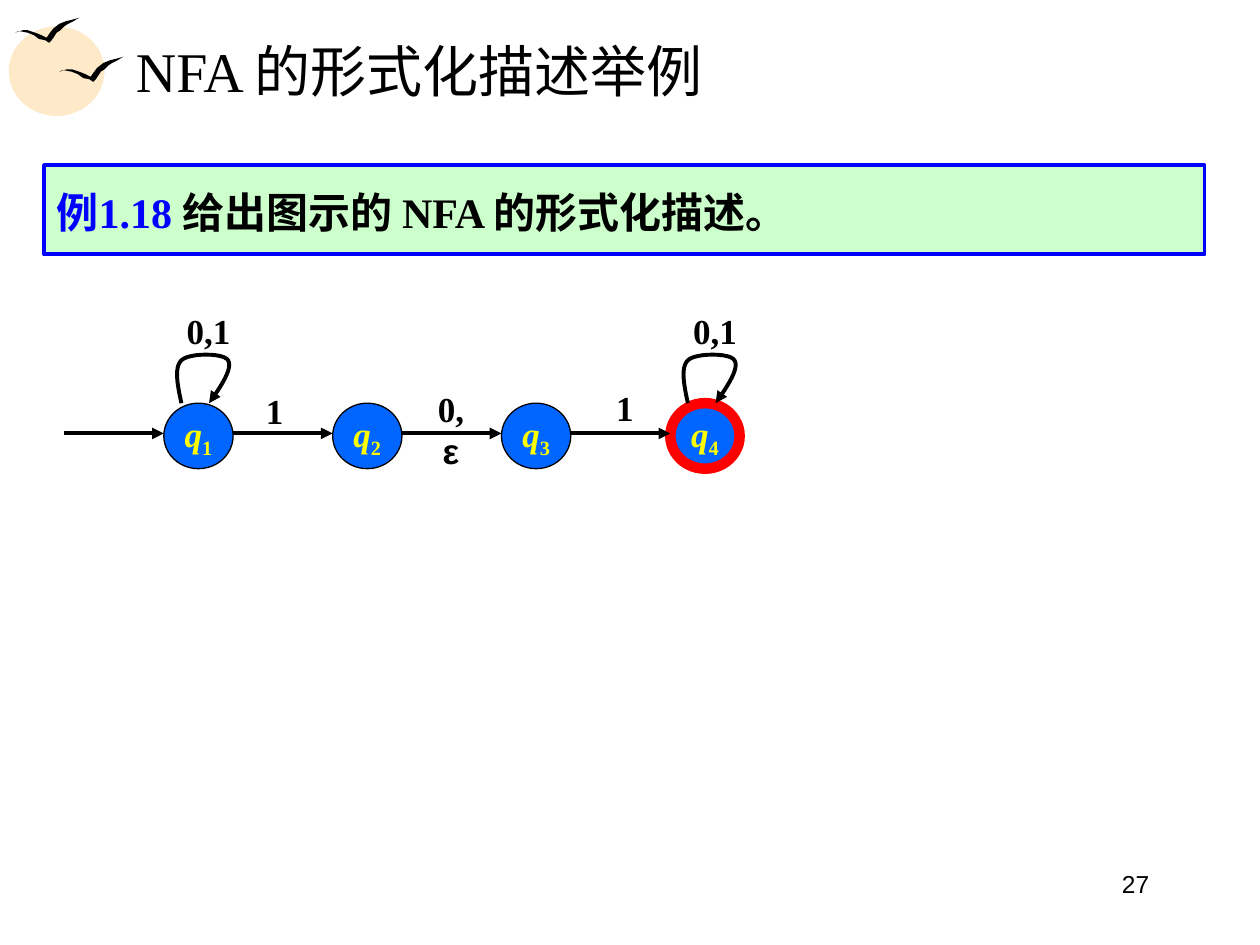
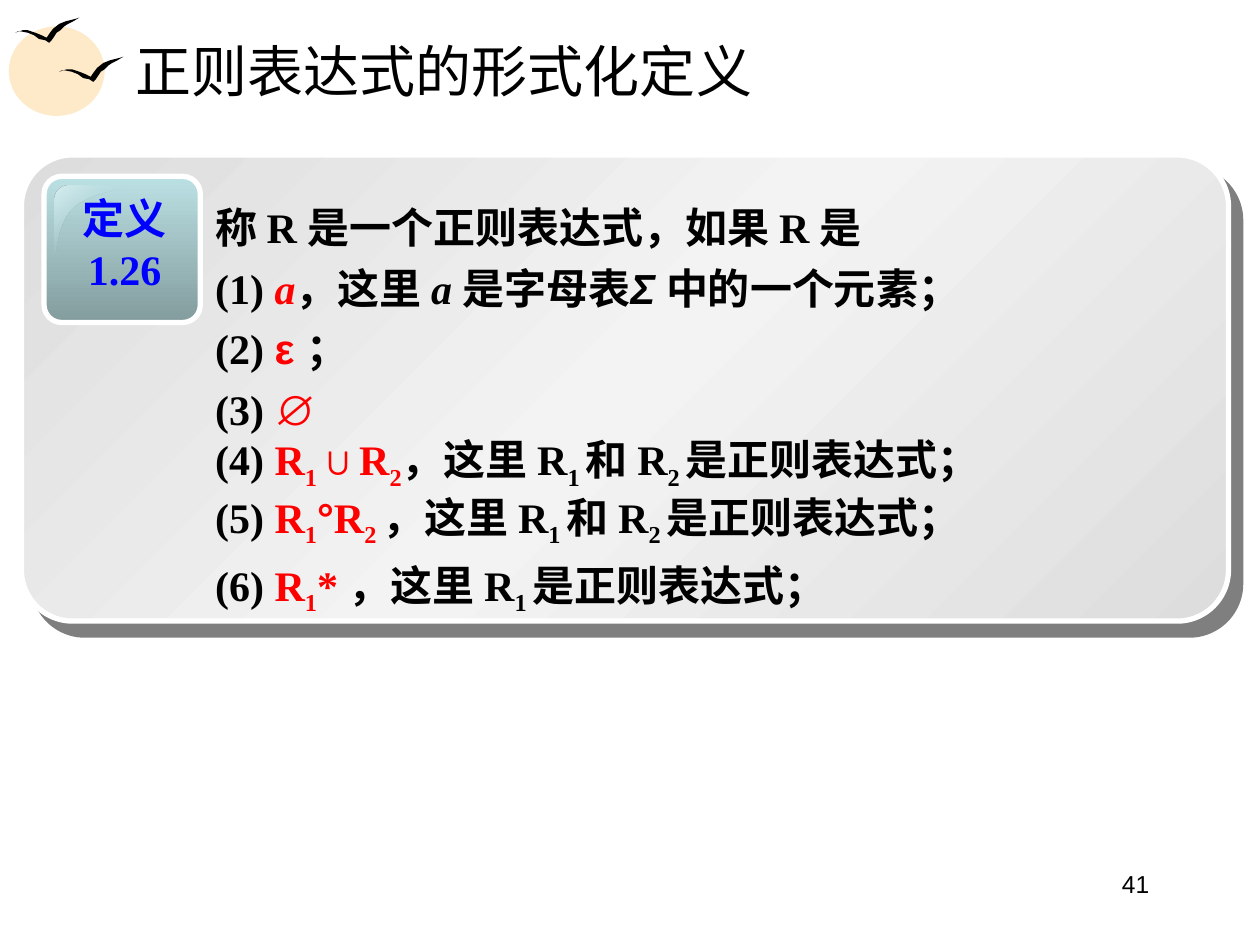
from lxml import etree
from pptx import Presentation
from pptx import util as u
from pptx.dml.color import RGBColor
from pptx.enum import shapes as sh, text as tx
from pptx.oxml.ns import qn

BLACK = RGBColor(0, 0, 0)
WHITE = RGBColor(255, 255, 255)
BLUE = RGBColor(0, 0, 255)
RED = RGBColor(255, 0, 0)
YELLOW = RGBColor(255, 255, 0)
SUN = RGBColor(0xFE, 0xE9, 0xC8)
MINT = RGBColor(0xCC, 0xFF, 0xCC)
AZURE = RGBColor(0, 0x66, 0xFF)
SILVER = RGBColor(0xDD, 0xDD, 0xDD)
PALE = RGBColor(0xF3, 0xF3, 0xF3)
TEAL = RGBColor(0xBB, 0xE0, 0xE3)
DUSK = RGBColor(0x83, 0x9C, 0x9E)
ICE = RGBColor(0xDA, 0xEE, 0xF0)
SERIF, SANS = "Times New Roman", "Arial"
LEFT, MID, RIGHT = tx.PP_ALIGN.LEFT, tx.PP_ALIGN.CENTER, tx.PP_ALIGN.RIGHT
OVAL, RECT = sh.MSO_SHAPE.OVAL, sh.MSO_SHAPE.RECTANGLE
ROUND = sh.MSO_SHAPE.ROUNDED_RECTANGLE


def write(shape, paras, size=24, color=BLACK, bold=True, align=LEFT, font=SERIF,
          anchor=tx.MSO_ANCHOR.TOP, wrap=True, lead=None, gap=0, tight=()):
    """Each paragraph is a string or a list of (text, marks);
    marks: r red, b blue, i italic, s subscript, a sans."""
    frame = shape.text_frame
    frame.word_wrap, frame.vertical_anchor = wrap, anchor
    for n, runs in enumerate(paras):
        para = frame.add_paragraph() if n else frame.paragraphs[0]
        para.alignment = align
        if lead and n not in tight:
            para.line_spacing = lead
            if n:
                para.space_before = u.Pt(gap)
        for words, marks in [(runs, "")] if isinstance(runs, str) else runs:
            run = para.add_run()
            run.text = words
            face = run.font
            face.size, face.bold, face.italic = u.Pt(size), bold, "i" in marks
            face.name = SANS if "a" in marks else font
            face.color.rgb = RED if "r" in marks else BLUE if "b" in marks else color
            if "s" in marks:
                run._r.get_or_add_rPr().set("baseline", "-25000")


def paint(shape, fill=None, line=None, width=1, arrow=False, angle=0):
    """A list as fill means gradient stops (position, colour, alpha)."""
    if line is None:
        shape.line.fill.background()
    else:
        shape.line.color.rgb = line
        shape.line.width = u.Pt(width)
    props = shape.element.spPr
    if arrow:
        etree.SubElement(props.find(qn("a:ln")), qn("a:tailEnd"), type="triangle")
    if isinstance(fill, list):
        shape.fill.background()
        grad = etree.Element(qn("a:gradFill"), rotWithShape="1")
        stops = etree.SubElement(grad, qn("a:gsLst"))
        for pos, color, alpha in fill:
            stop = etree.SubElement(stops, qn("a:gs"), pos=str(pos * 1000))
            tone = etree.SubElement(stop, qn("a:srgbClr"), val=str(color))
            if alpha < 100:
                etree.SubElement(tone, qn("a:alpha"), val=str(alpha * 1000))
        etree.SubElement(grad, qn("a:lin"), ang=str(angle * 60000), scaled="0")
        props.replace(props.find(qn("a:noFill")), grad)
    elif fill is not None:
        shape.fill.solid()
        shape.fill.fore_color.rgb = fill
    elif hasattr(shape, "fill"):
        shape.fill.background()
    return etree.SubElement(props, qn("a:effectLst"))


# Curved outlines, sampled from their Bezier pieces
curves = {
    "loop": [[(1.44, 3.2), (1.41, 3.06), (1.38, 2.92), (1.44, 2.86)],
             [(1.44, 2.86), (1.5, 2.8), (1.78, 2.8), (1.81, 2.86)],
             [(1.81, 2.86), (1.85, 2.92), (1.76, 3.06), (1.66, 3.2)]],
    "shine": [[(0.55, 1.47), (0.48, 1.47), (0.43, 1.52), (0.43, 1.59)],
              [(0.43, 2.05), (0.45, 2.05), (0.44, 1.77), (0.59, 1.64)],
              [(0.59, 1.64), (0.75, 1.51), (1.04, 1.5), (1.03, 1.47)]],
}
STEPS = 12
paths = {}
for name, parts in curves.items():
    paths[name] = []
    for part in parts:
        for t in [k / STEPS for k in range(STEPS + 1)]:
            mix = ((1 - t) ** 3, 3 * t * (1 - t) ** 2, 3 * t * t * (1 - t), t ** 3)
            paths[name].append([sum(m * p[d] for m, p in zip(mix, part))
                                for d in (0, 1)])

# Bird outline, relative to its top left corner
bird = [(0, .12), (.03, .11), (.06, .1), (.1, .1), (.13, .11), (.16, .12), (.21, .14),
        (.25, .16), (.27, .13), (.3, .09), (.35, .05), (.4, .03), (.44, .02),
        (.48, .01), (.51, 0), (.46, .03), (.42, .05), (.39, .07), (.36, .1),
        (.33, .12), (.31, .15), (.29, .18), (.27, .2), (.24, .18), (.19, .17),
        (.15, .14), (.1, .12), (.05, .11), (.02, .11)]

deck = Presentation()
deck.slide_width, deck.slide_height = u.Inches(10), u.Inches(7.5)

# Shared parts: sun, birds, page number, title
pages = []
for title, number in (("NFA 的形式化描述举例", "27"), ("正则表达式的形式化定义", "41")):
    items = deck.slides.add_slide(deck.slide_layouts[6]).shapes
    pages.append(items)
    for box in ((0.07, 0.21, 0.76, 0.71), (0.2, 0.28, 0.63, 0.55)):
        paint(items.add_shape(OVAL, *map(u.Inches, box)), SUN)
    for left, top in ((0.47, 0.45), (0.12, 0.14)):
        dots = [(u.Inches(left + x), u.Inches(top + y)) for x, y in bird]
        pen = items.build_freeform(*dots[0])
        pen.add_line_segments(dots[1:], close=True)
        paint(pen.convert_to_shape(), BLACK)
    page = items.add_textbox(*map(u.Inches, (6.89, 6.85, 2.33, 0.52)))
    write(page, [number], size=14, bold=False, align=RIGHT, font=SANS)
    head = items.add_textbox(*map(u.Inches, (0.98, 0.21, 8.53, 0.69)))
    write(head, [title], size=32, bold=False, anchor=tx.MSO_ANCHOR.MIDDLE)
first, second = pages

# Slide 1: example box
task = first.add_shape(RECT, *map(u.Inches, (0.35, 1.31, 9.21, 0.71)))
paint(task, MINT, BLUE, 2.25)
write(task, [[("例1.18 ", "b"), ("给出图示的 NFA 的形式化描述。", "")]], lead=1.15)
task.text_frame.margin_top = u.Inches(0.11)

# Edge labels
labels = [("1", 2.01, 3.04, 0.34), ("0,1", 1.38, 2.41, 0.55),
          ("1", 4.79, 3.02, 0.34), ("0,1", 5.4, 2.41, 0.55)]
for words, left, top, wide in labels:
    label = first.add_textbox(*map(u.Inches, (left, top, wide, 0.44)))
    write(label, [words], size=20, align=MID, wrap=False)
label = first.add_textbox(*map(u.Inches, (3.3, 3.03, 0.56, 0.76)))
write(label, [[("0, ", ""), ("ε", "a")]], size=20, align=MID)

# States, each with the arrow that enters it
START, PITCH, WIDE = 1.3, 1.34, 0.55
for n in range(4):
    left = START + n * PITCH
    state = first.add_shape(OVAL, *map(u.Inches, (left, 3.2, WIDE, 0.52)))
    paint(state, AZURE, RED if n == 3 else BLACK, 6 if n == 3 else 0.75)
    write(state, [[("q", "i"), (str(n + 1), "s")]], size=20, color=YELLOW,
          align=MID, anchor=tx.MSO_ANCHOR.MIDDLE, wrap=False)
    ends = (left - PITCH + WIDE, 3.44, left, 3.44)
    edge = first.add_connector(sh.MSO_CONNECTOR.STRAIGHT, *map(u.Inches, ends))
    paint(edge, line=BLACK, width=2.25, arrow=True)

# Self loops on the first and last state
for shift in (0, 3 * PITCH):
    dots = [(u.Inches(x + shift), u.Inches(y)) for x, y in paths["loop"]]
    pen = first.build_freeform(*dots[0])
    pen.add_line_segments(dots[1:], close=False)
    paint(pen.convert_to_shape(), line=BLACK, width=2.25, arrow=True)

# Slide 2: panel with a hard shadow
panel = second.add_shape(ROUND, *map(u.Inches, (0.17, 1.23, 9.58, 3.7)))
panel.adjustments[0] = 0.11
effect = paint(panel, [(0, SILVER, 100), (50, PALE, 100), (100, SILVER, 100)],
               WHITE, 3, angle=45)
shade = etree.SubElement(effect, qn("a:outerShdw"), blurRad="0",
                         dist=str(u.Pt(10.6)), dir=str(49 * 60000),
                         algn="ctr", rotWithShape="0")
tone = etree.SubElement(shade, qn("a:srgbClr"), val=str(BLACK))
etree.SubElement(tone, qn("a:alpha"), val="50000")

# Glossy badge
badge = second.add_shape(ROUND, *map(u.Inches, (0.35, 1.4, 1.24, 1.16)))
badge.adjustments[0] = 0.12
paint(badge, [(0, TEAL, 100), (100, DUSK, 100)], WHITE, 3, angle=90)
dots = [(u.Inches(x), u.Inches(y)) for x, y in paths["shine"]]
pen = second.build_freeform(*dots[0])
pen.add_line_segments(dots[1:], close=True)
paint(pen.convert_to_shape(), [(0, ICE, 100), (50, TEAL, 0), (100, ICE, 100)], angle=45)
name = second.add_textbox(*map(u.Inches, (0.52, 1.48, 0.94, 0.9)))
write(name, ["定义", "1.26"], color=BLUE, align=MID)

# Definition
pair = [("，这里 R", ""), ("1 ", "s"), ("和 R", ""), ("2 ", "s"), ("是正则表达式；", "")]
rules = [
    "称 R 是一个正则表达式，如果 R 是",
    [("(1) ", ""), ("a", "ri"), ("，这里 ", ""), ("a ", "i"), ("是字母表", ""),
     ("Σ", "ia"), (" 中的一个元素；", "")],
    [("(2) ", ""), ("ε ", "ra"), ("；", "")],
    [("(3) ", ""), ("∅", "ra")],
    [("(4) ", ""), ("R", "r"), ("1", "rs"), ("∪R", "r"), ("2", "rs")] + pair,
    [("(5) ", ""), ("R", "r"), ("1", "rs"), ("°", "ra"), ("R", "r"), ("2 ", "rs")] + pair,
    [("(6) ", ""), ("R", "r"), ("1", "rs"), ("* ", "r")] + pair[:2] + pair[-1:],
]
body = second.add_textbox(*map(u.Inches, (1.61, 1.51, 8, 3.4)))
write(body, rules, lead=1.1, gap=3, tight=(4, 5))

deck.save("out.pptx")
